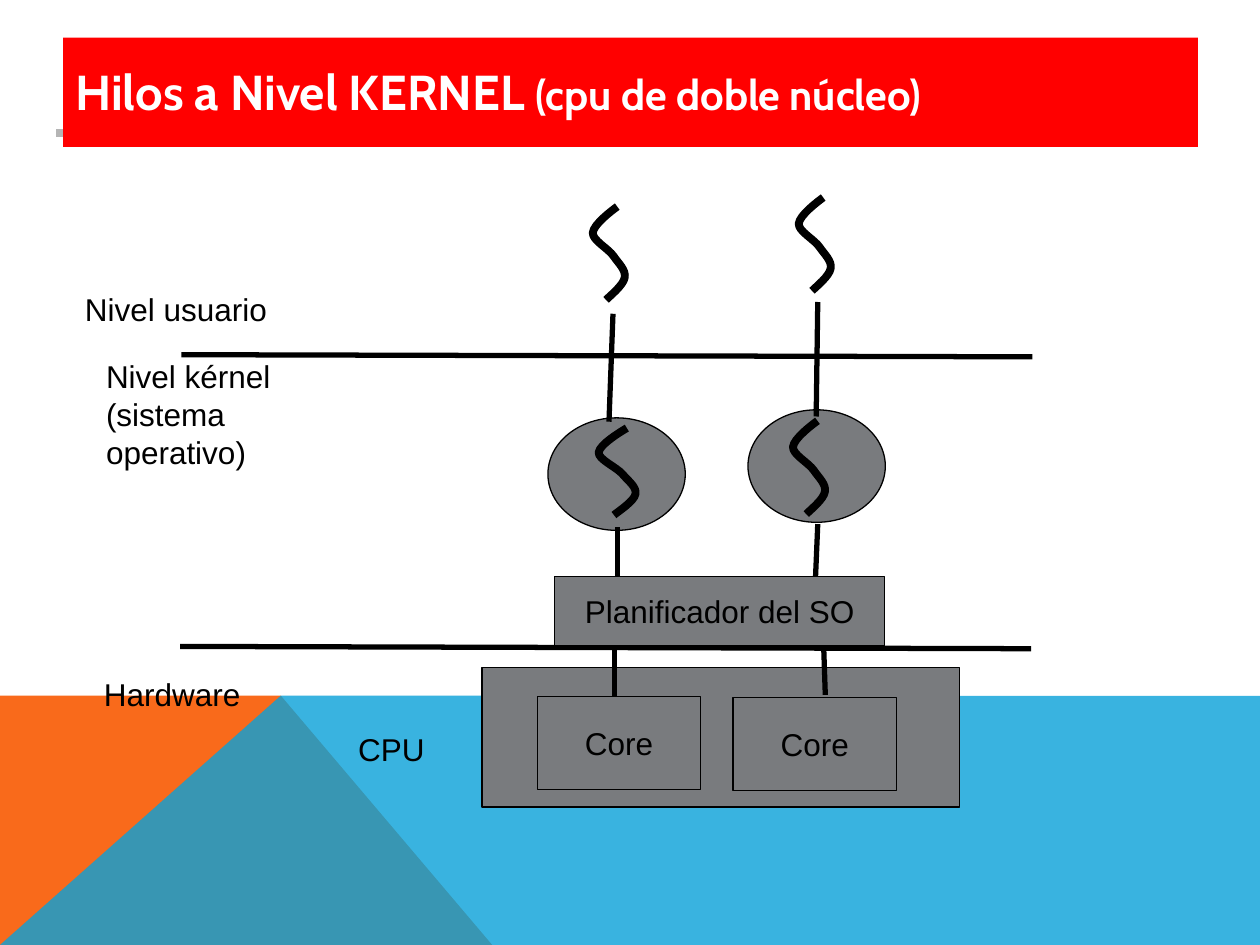
from pptx import Presentation
from pptx.dml.color import RGBColor
from pptx.enum.shapes import MSO_CONNECTOR, MSO_SHAPE
from pptx.enum.text import MSO_ANCHOR, MSO_AUTO_SIZE, PP_ALIGN
from pptx.oxml.ns import qn
from pptx.util import Pt
from lxml.etree import SubElement


class Theme:
    black, white = "000000", "FFFFFF"
    gray, red = "797B7E", "FF0000"
    orange, blue, fade = "F96A1B", "08A1D9", "969696"
    head, body = "Cabin", "Arial"
    big, mid, small = 28, 24, 18
    thin, thick, heavy = 0.75, 3, 4.5


TITLE = [("Hilos a Nivel KERNEL ", Theme.big), ("(cpu de doble núcleo)", Theme.mid)]
BANDS = [
    ([(0, 540), (0, 397.5), (160.5, 397.5), (281.3, 540)], Theme.orange, None),
    ([(0, 540), (160.5, 397.5), (720, 397.7), (720, 540)], Theme.blue, 80),
]
NODES = [(313.1, 238.8), (427.4, 234.2)]
CPU = (275.4, 381.5, 272.9, 79.7)
CORES = [(307.1, 398), (418.9, 398.6)]
PLAN = (316.9, 329.5, 188.6, 39.6)
LABELS = [
    ("Nivel kérnel (sistema operativo)", 53.5, 200.5, 142.6, 72, True),
    ("Nivel usuario", 41.4, 162.1, 142.6, 28.8, True),
    ("CPU", 197.6, 413.6, 52.6, 28.8, False),
    ("Hardware", 52.3, 382, 92.2, 28.8, False),
]
LINES = [
    (103.7, 202.7, 589.9, 203.9),
    (466.4, 238, 467.3, 172.6),
    (348, 241, 350.3, 179.3),
    (103, 369.4, 589.2, 370.7),
    (352.8, 335.5, 352.8, 301),
    (466, 330.5, 467.3, 299.5),
]
ARROWS = [(351.2, 398, 351.2, 360), (471.6, 397.1, 470.4, 360.7)]
THREADS = [
    (341.7, 244.6, 22.3, 49.7),
    (338.4, 118.1, 19.4, 53.3),
    (456.1, 112.9, 19.4, 53.3),
    (452.8, 240.5, 19.4, 53.3),
]
WAVE = [
    (0.74, 0), (0.59, 0.04), (0.04, 0.19), (0.02, 0.28),
    (0, 0.36), (0.48, 0.45), (0.63, 0.53),
    (0.78, 0.61), (1, 0.68), (0.96, 0.76),
    (0.93, 0.84), (0.52, 0.96), (0.41, 1),
]

deck = Presentation()
deck.slide_width, deck.slide_height = Pt(720), Pt(540)
slide = deck.slides.add_slide(deck.slide_layouts[6])
shapes = slide.shapes


def rgb(code):
    return RGBColor.from_string(code)


def fade(shape, share):
    tint = next(shape._element.iter(qn("a:srgbClr")))
    SubElement(tint, qn("a:alpha")).set("val", str(share * 1000))


def stroke(shape, width):
    shape.line.color.rgb = rgb(Theme.black)
    shape.line.width = Pt(width)


def block(box, fill, kind=MSO_SHAPE.RECTANGLE, edge=True):
    shape = shapes.add_shape(kind, *map(Pt, box))
    shape.shadow.inherit = False
    shape.fill.solid()
    shape.fill.fore_color.rgb = rgb(fill)
    if edge:
        stroke(shape, Theme.thin)
    else:
        shape.line.fill.background()
    return shape


def outline(points, close):
    start, *rest = [(Pt(x), Pt(y)) for x, y in points]
    pen = shapes.build_freeform(*start)
    pen.add_line_segments(rest, close=close)
    shape = pen.convert_to_shape()
    shape.shadow.inherit = False
    return shape


def bend(shape):
    track = next(shape._element.iter(qn("a:path")))
    steps = track.findall(qn("a:lnTo"))
    for i in range(0, len(steps), 3):
        curve = SubElement(track, qn("a:cubicBezTo"))
        for step in steps[i:i + 3]:
            curve.append(step[0])
            track.remove(step)


def style(font, size, face, tint):
    font.size, font.name = Pt(size), face
    font.color.rgb = rgb(tint)


def write(shape, text, wrap=False):
    frame = shape.text_frame
    frame.word_wrap = wrap
    para = frame.paragraphs[0]
    para.text = text
    style(para.font, Theme.small, Theme.body, Theme.black)
    return para


def tag(shape, text):
    shape.text_frame.vertical_anchor = MSO_ANCHOR.MIDDLE
    write(shape, text).alignment = PP_ALIGN.CENTER


def link(ends, arrow=False):
    line = shapes.add_connector(MSO_CONNECTOR.STRAIGHT, *map(Pt, ends))
    stroke(line, Theme.thick)
    props = line._element.spPr
    if arrow:
        SubElement(props.find(qn("a:ln")), qn("a:tailEnd")).set("type", "triangle")
    SubElement(props, qn("a:effectLst"))


for points, tint, share in BANDS:
    band = outline(points, True)
    band.fill.solid()
    band.fill.fore_color.rgb = rgb(tint)
    band.line.fill.background()
    if share:
        fade(band, share)

rule = block((32.4, 74.2, 651.6, 3.6), Theme.fade, edge=False)
rule.fill.gradient()
rule.fill.gradient_angle = 0
for stop, tint in zip(rule.fill.gradient_stops, (Theme.fade, Theme.white)):
    stop.color.rgb = rgb(tint)
fade(rule, 70)

for x, y in NODES:
    block((x, y, 78.5, 64.3), Theme.gray, MSO_SHAPE.OVAL)
block(CPU, Theme.gray)

title = block((36, 21.5, 648.6, 62.5), Theme.red, edge=False)
frame = title.text_frame
frame.word_wrap = True
frame.vertical_anchor = MSO_ANCHOR.MIDDLE
frame.margin_bottom = Pt(4.6)
para = frame.paragraphs[0]
para.alignment = PP_ALIGN.LEFT
for text, size in TITLE:
    run = para.add_run()
    run.text = text
    run.font.bold = True
    style(run.font, size, Theme.head, Theme.white)

for text, x, y, w, h, wrap in LABELS:
    label = shapes.add_textbox(Pt(x), Pt(y), Pt(w), Pt(h))
    write(label, text, wrap)
    label.text_frame.auto_size = MSO_AUTO_SIZE.SHAPE_TO_FIT_TEXT
for x, y in CORES:
    tag(block((x, y, 93.3, 53), Theme.gray), "Core")
for ends in LINES:
    link(ends)
for ends in ARROWS:
    link(ends, True)
for x, y, w, h in THREADS:
    thread = outline([(x + w * a, y + h * b) for a, b in WAVE], False)
    bend(thread)
    thread.fill.background()
    stroke(thread, Theme.heavy)
tag(block(PLAN, Theme.gray), "Planificador del SO")

deck.save("out.pptx")
